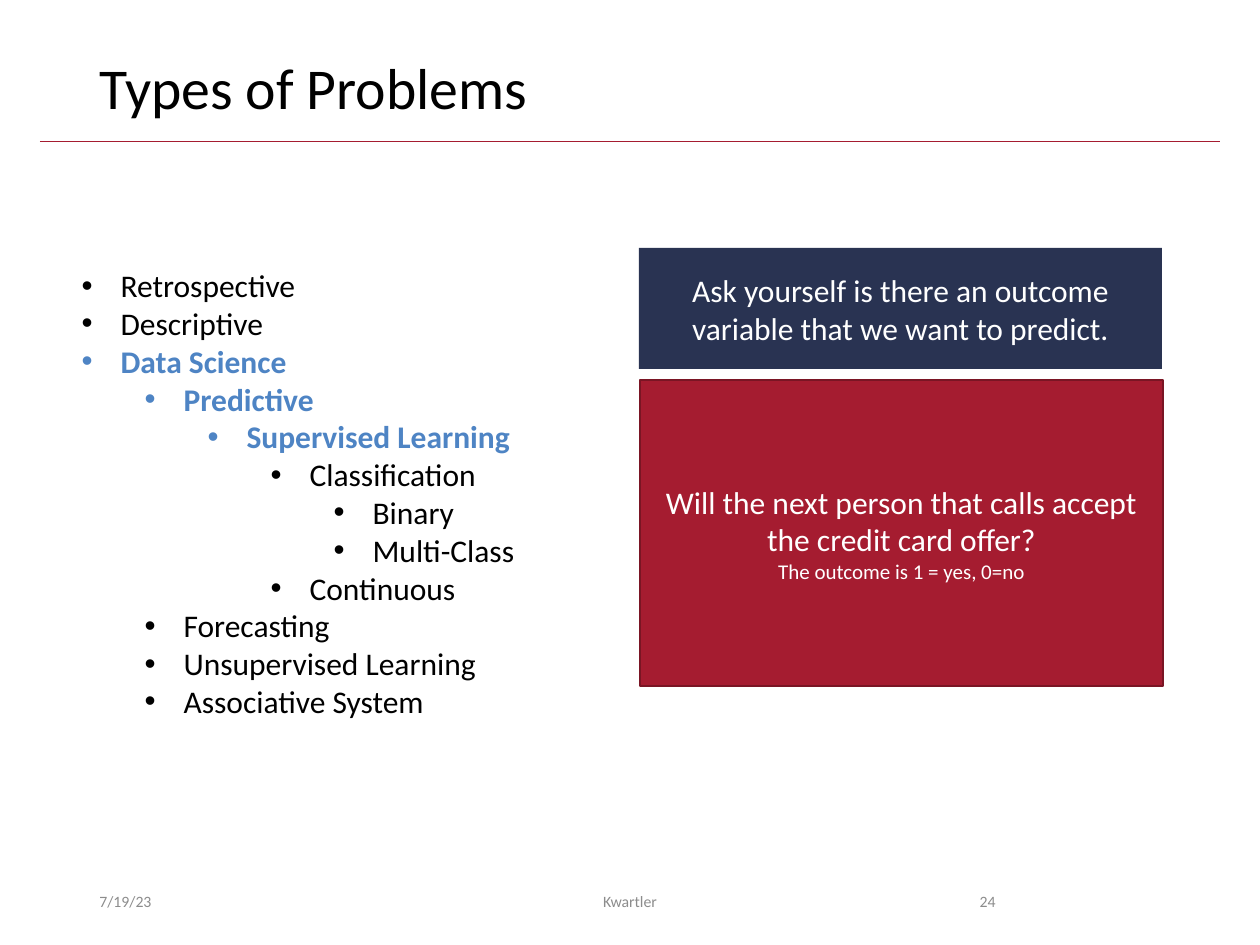
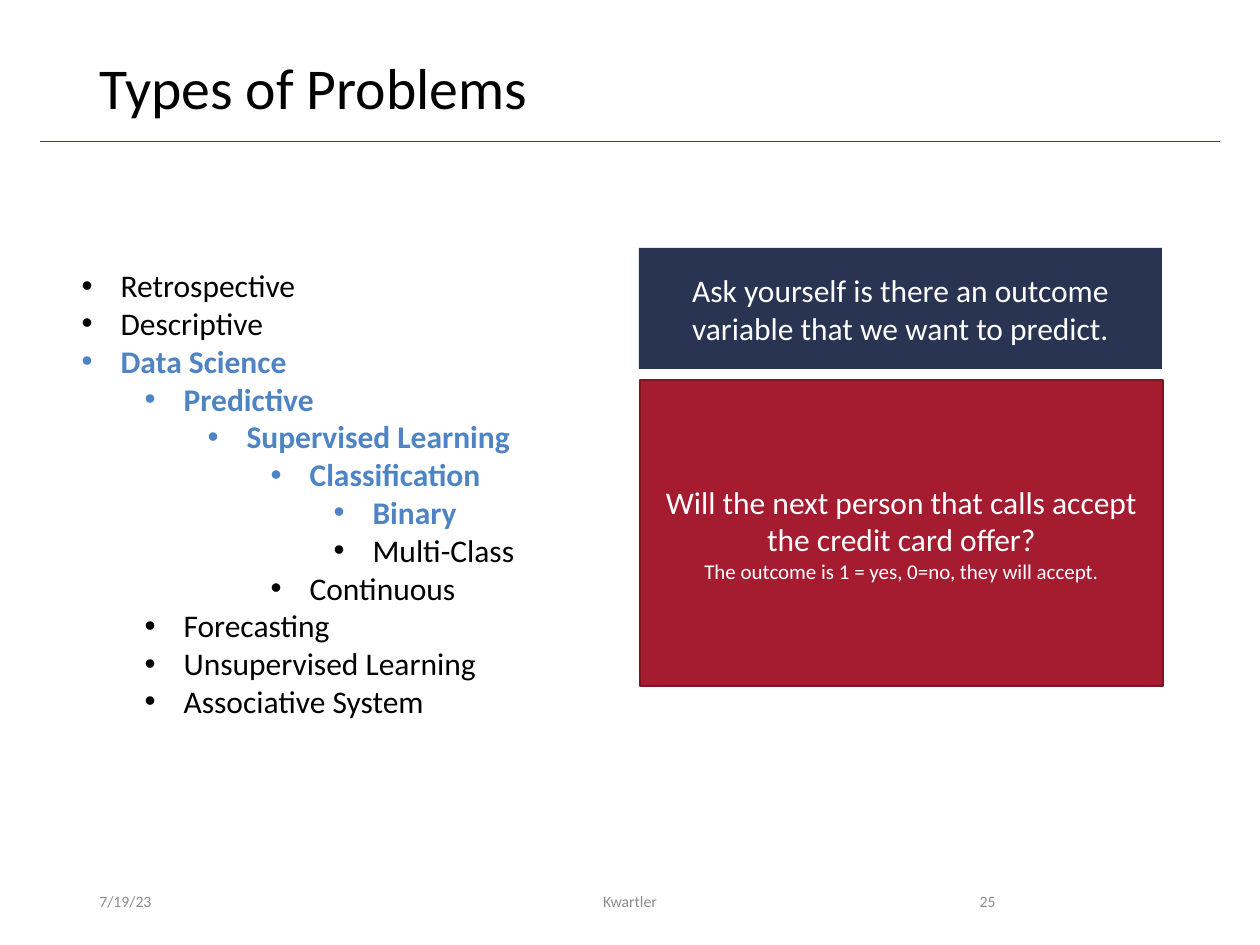
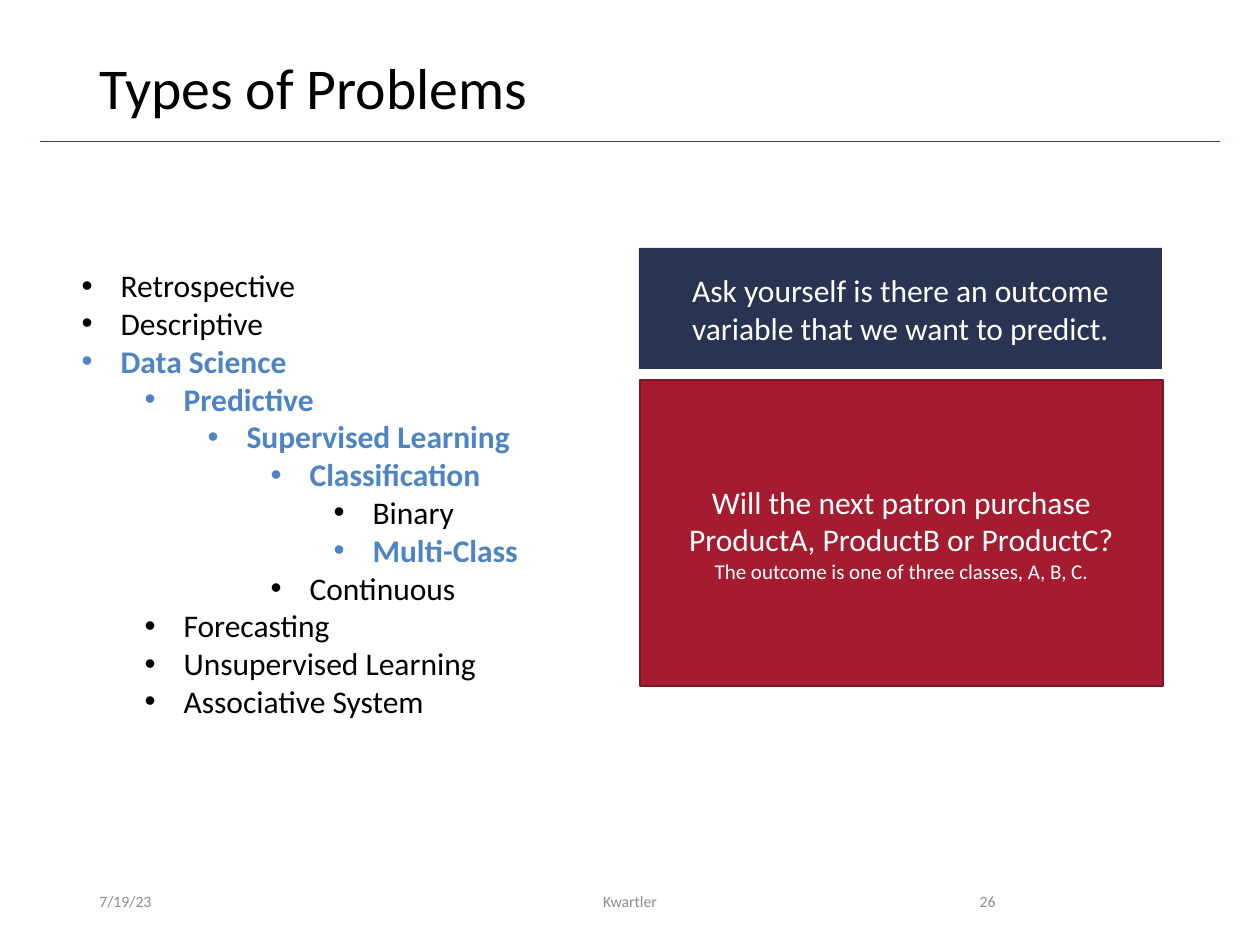
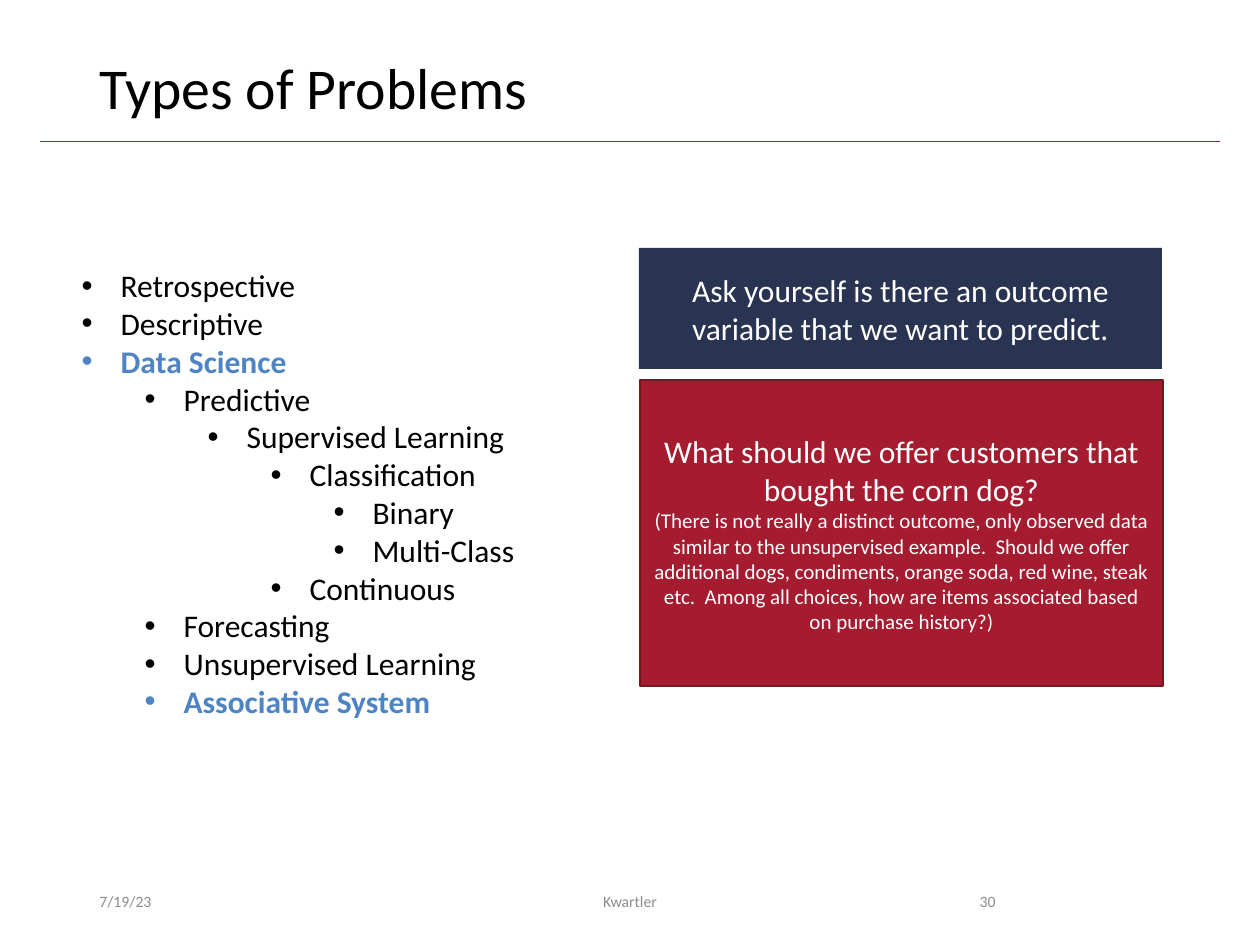
from dataclasses import dataclass
from typing import NamedTuple, Optional

from lxml.etree import SubElement
from pptx import Presentation
from pptx.dml.color import RGBColor
from pptx.enum.shapes import MSO_CONNECTOR, MSO_SHAPE
from pptx.enum.text import MSO_ANCHOR as Anchor, MSO_AUTO_SIZE as AutoSize, PP_ALIGN as Align
from pptx.oxml.ns import qn
from pptx.util import Emu, Pt

# Shared look
EMU_PER_PIXEL = 914400 / 126
FONT = "Calibri"
COLORS = {
    "text": "000000",
    "highlight": "4E84C4",
    "footer": "8C8C8C",
    "navy": "293352",
    "crimson": "A51C30",
    "crimson_edge": "7A1524",
    "white": "FFFFFF",
}
BULLET_HANG = 39
LEVEL_STEP = 63


class Box(NamedTuple):
    left: int
    top: int
    width: int
    height: int


class TextStyle(NamedTuple):
    size: float
    color: str
    align: Align = Align.LEFT
    bold: bool = False


@dataclass
class Panel:
    box: Box
    fill: str
    edge: Optional[str] = None


@dataclass
class Footer:
    box: Box
    align: Align


@dataclass
class Problem:
    number: int
    highlights: set[str]
    question: str
    outcome: str


TITLE_BOX = Box(87, 50, 1086, 82)
LIST_BOX = Box(69, 260, 462, 509)
PROMPT_PANEL = Panel(Box(639, 248, 523, 121), "navy")
EXAMPLE_PANEL = Panel(Box(640, 380, 523, 306), "crimson", "crimson_edge")
DATE_FOOTER = Footer(Box(87, 876, 284, 50), Align.LEFT)
AUTHOR_FOOTER = Footer(Box(417, 876, 426, 50), Align.CENTER)
NUMBER_FOOTER = Footer(Box(890, 876, 118, 50), Align.RIGHT)

TITLE_STYLE = TextStyle(33, "text")
ITEM_STYLE = TextStyle(18, "text")
HIGHLIGHT_STYLE = TextStyle(18, "highlight", bold=True)
QUESTION_STYLE = TextStyle(18, "white", Align.CENTER)
OUTCOME_STYLE = TextStyle(12, "white", Align.CENTER)

# Content
TITLE = "Types of Problems"
PROMPT = "Ask yourself is there an outcome variable that we want to predict."
PROBLEM_TYPES = [
    (0, "Retrospective"),
    (0, "Descriptive"),
    (0, "Data Science"),
    (1, "Predictive"),
    (2, "Supervised Learning"),
    (3, "Classification"),
    (4, "Binary"),
    (4, "Multi-Class"),
    (3, "Continuous"),
    (1, "Forecasting"),
    (1, "Unsupervised Learning"),
    (1, "Associative System"),
]
SUPERVISED = {"Data Science", "Predictive", "Supervised Learning"}
CARD_QUESTION = "Will the next person that calls accept the credit card offer?"
PROBLEMS = [
    Problem(24, SUPERVISED, CARD_QUESTION, "The outcome is 1 = yes, 0=no"),
    Problem(25, SUPERVISED | {"Classification", "Binary"}, CARD_QUESTION,
            "The outcome is 1 = yes, 0=no, they will accept."),
    Problem(26, SUPERVISED | {"Classification", "Multi-Class"},
            "Will the next patron purchase ProductA, ProductB or ProductC?",
            "The outcome is one of three classes, A, B, C."),
    Problem(30, {"Data Science", "Associative System"},
            "What should we offer customers that bought the corn dog?",
            "(There is not really a distinct outcome, only observed data similar to the "
            "unsupervised example.  Should we offer additional dogs, condiments, orange "
            "soda, red wine, steak etc.  Among all choices, how are items associated "
            "based on purchase history?)"),
]


# Helpers
def px(pixels: float) -> Emu:
    return Emu(round(pixels * EMU_PER_PIXEL))


def emu(box: Box) -> list[Emu]:
    return [px(length) for length in box]


def color(name: str) -> RGBColor:
    return RGBColor.from_string(COLORS[name])


def place(shape, box: Box) -> None:
    shape.left, shape.top, shape.width, shape.height = emu(box)


def format_paragraph(paragraph, style: TextStyle) -> None:
    paragraph.alignment = style.align
    for run in paragraph.runs:
        run.font.name = FONT
        run.font.size = Pt(style.size)
        run.font.bold = style.bold
        run.font.color.rgb = color(style.color)


def write(text_frame, lines: list[tuple[str, TextStyle]], anchor: Anchor) -> None:
    text_frame.word_wrap = True
    text_frame.auto_size = AutoSize.NONE
    text_frame.vertical_anchor = anchor
    text_frame.text = "\n".join(text for text, _ in lines)
    for paragraph, (_, style) in zip(text_frame.paragraphs, lines):
        format_paragraph(paragraph, style)


def add_bullet(paragraph, level: int) -> None:
    paragraph.level = level
    paragraph.space_before = Pt(0)
    properties = paragraph._p.get_or_add_pPr()
    properties.set("marL", str(px(BULLET_HANG + level * LEVEL_STEP)))
    properties.set("indent", str(-px(BULLET_HANG)))
    SubElement(properties, qn("a:buFont")).set("typeface", "Arial")
    SubElement(properties, qn("a:buChar")).set("char", "•")


# Parts of a slide
def add_title_rule(slide, layout) -> None:
    """Draw the rule under the title and hand it to the shared layout."""
    rule = slide.shapes.add_connector(MSO_CONNECTOR.STRAIGHT, px(40), px(141), px(1220), px(141))
    rule.line.color.rgb = color("crimson")
    rule.line.width = Pt(0.5)
    SubElement(rule.element.spPr, qn("a:effectLst"))
    layout.shapes.element.append(rule.element)


def add_title(slide) -> None:
    title = slide.shapes.title
    place(title, TITLE_BOX)
    write(title.text_frame, [(TITLE, TITLE_STYLE)], Anchor.MIDDLE)
    title.text_frame.paragraphs[0].line_spacing = 0.9


def add_type_list(slide, highlights: set[str]) -> None:
    body = slide.placeholders[1]
    place(body, LIST_BOX)
    lines = [(name, HIGHLIGHT_STYLE if name in highlights else ITEM_STYLE)
             for _, name in PROBLEM_TYPES]
    write(body.text_frame, lines, Anchor.TOP)
    for paragraph, (level, _) in zip(body.text_frame.paragraphs, PROBLEM_TYPES):
        add_bullet(paragraph, level)


def add_panel(slide, panel: Panel, lines: list[tuple[str, TextStyle]]) -> None:
    shape = slide.shapes.add_shape(MSO_SHAPE.RECTANGLE, *emu(panel.box))
    shape.shadow.inherit = False
    shape.fill.solid()
    shape.fill.fore_color.rgb = color(panel.fill)
    if panel.edge:
        shape.line.color.rgb = color(panel.edge)
        shape.line.width = Pt(1)
    else:
        shape.line.fill.background()
    write(shape.text_frame, lines, Anchor.MIDDLE)


def add_footer(slide, footer: Footer, text: str) -> None:
    text_box = slide.shapes.add_textbox(*emu(footer.box))
    write(text_box.text_frame, [(text, TextStyle(9, "footer", footer.align))], Anchor.MIDDLE)


# Build the slides
presentation = Presentation()
presentation.slide_width, presentation.slide_height = px(1260), px(945)
layout = presentation.slide_layouts[1]

for index, problem in enumerate(PROBLEMS):
    slide = presentation.slides.add_slide(layout)
    if index == 0:
        add_title_rule(slide, layout)
    add_title(slide)
    add_type_list(slide, problem.highlights)
    add_panel(slide, PROMPT_PANEL, [(PROMPT, QUESTION_STYLE)])
    add_panel(slide, EXAMPLE_PANEL,
              [(problem.question, QUESTION_STYLE), (problem.outcome, OUTCOME_STYLE)])
    add_footer(slide, DATE_FOOTER, "7/19/23")
    add_footer(slide, AUTHOR_FOOTER, "Kwartler")
    add_footer(slide, NUMBER_FOOTER, str(problem.number))

presentation.save("out.pptx")
